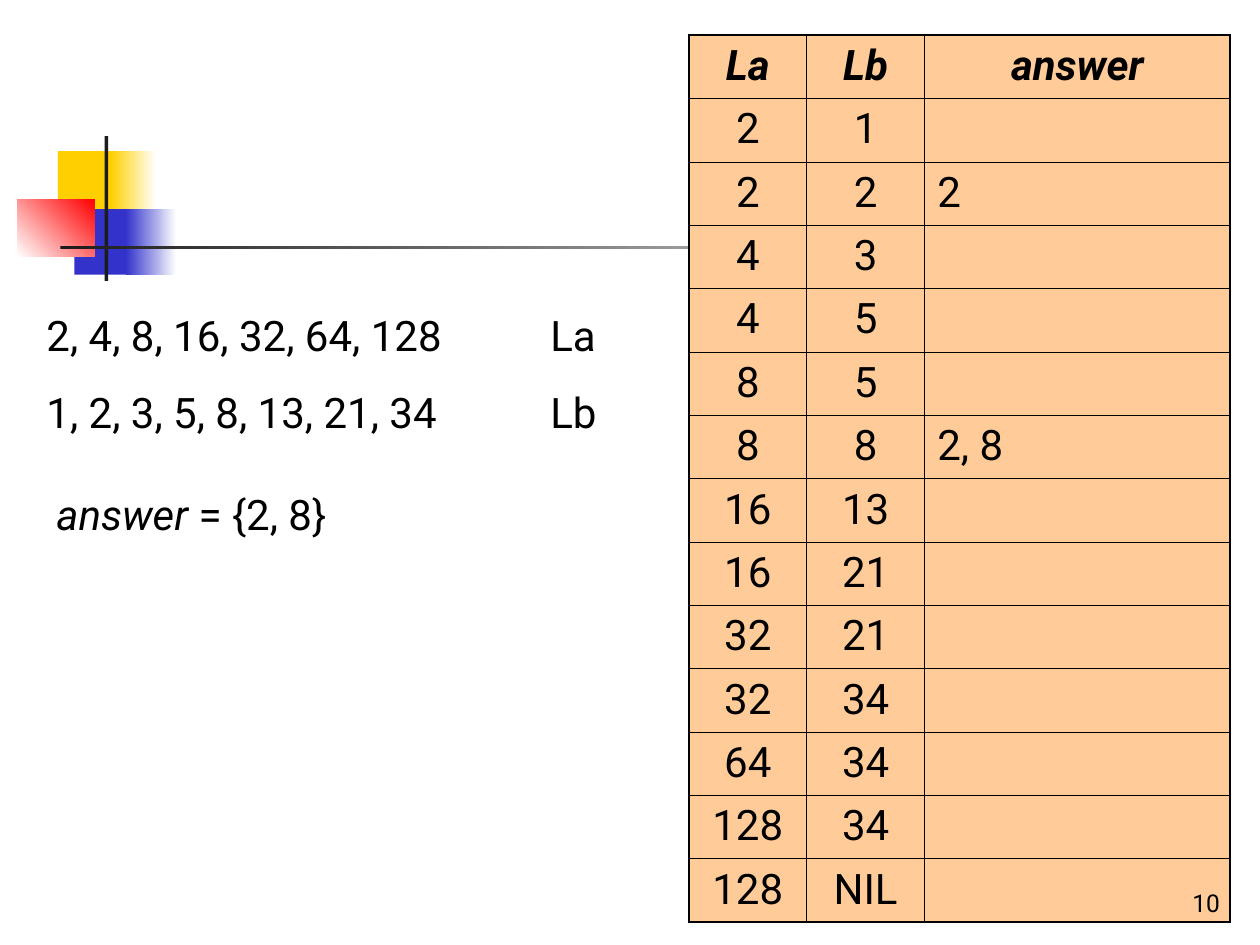
from typing import NamedTuple, Optional

import pptx
import pptx.dml.color
import pptx.enum.shapes
import pptx.enum.text
import pptx.oxml
import pptx.oxml.ns
import pptx.util
from pptx.dml.color import RGBColor
from pptx.util import Inches, Pt

BLACK = RGBColor(0x00, 0x00, 0x00)
CHARCOAL = RGBColor(0x1C, 0x1C, 0x1C)
WHITE = RGBColor(0xFF, 0xFF, 0xFF)
YELLOW = RGBColor(0xFF, 0xCF, 0x01)
BLUE = RGBColor(0x33, 0x33, 0xCC)
RED = RGBColor(0xFF, 0x00, 0x00)
PEACH = RGBColor(0xFF, 0xCC, 0x99)

FONT = "Roboto"
OUTER_BORDER = Pt(1.08)
INNER_BORDER = Pt(0.45)
CENTER = pptx.enum.text.PP_ALIGN.CENTER
LEFT = pptx.enum.text.PP_ALIGN.LEFT
RIGHT = pptx.enum.text.PP_ALIGN.RIGHT


class Block(NamedTuple):
    """A plain rectangle; an end colour makes its fill a gradient."""
    left: float
    top: float
    width: float
    height: float
    color: RGBColor
    end_color: Optional[RGBColor] = None
    angle: float = 0


class Run(NamedTuple):
    text: str
    italic: bool = False


class Note(NamedTuple):
    """A text box; each line is a list of runs."""
    left: float
    top: float
    width: float
    height: float
    lines: list
    size: int = 24
    align: pptx.enum.text.PP_ALIGN = LEFT
    anchor: pptx.enum.text.MSO_ANCHOR = pptx.enum.text.MSO_ANCHOR.TOP
    grow: bool = True
    tab: Optional[float] = None


BLOCKS = [
    Block(0.46, 1.2, 0.48, 0.52, YELLOW),
    Block(0.88, 1.2, 0.36, 0.52, YELLOW, WHITE),
    Block(0.59, 1.66, 0.46, 0.52, BLUE),
    Block(1, 1.66, 0.4, 0.52, BLUE, WHITE),
    Block(0.14, 1.58, 0.61, 0.46, WHITE, RED, 45),
    Block(0.83, 1.08, 0.03, 1.15, CHARCOAL),
    Block(0.48, 1.95, 9, 0.03, CHARCOAL, WHITE),
]

LISTS = Note(0.27, 2.41, 5.75, 1.11, [
    [Run("2, 4, 8, 16, 32, 64, 128 \tLa")],
    [Run("1, 2, 3, 5, 8, 13, 21, 34\tLb")],
], tab=4)
ANSWER = Note(0.35, 3.83, 2.84, 0.5, [[Run("answer", True), Run(" = {2, 8}")]])
PAGE_NUMBER = Note(7.7, 6.83, 2.08, 0.5, [[Run("10")]], size=14, align=RIGHT,
                   anchor=pptx.enum.text.MSO_ANCHOR.BOTTOM, grow=False)

COLUMN_WIDTHS = [0.93, 0.94, 2.42]
TABLE_HEIGHT = 7.04
TRACE = [
    ("La", "Lb", "answer"),
    ("2", "1", ""),
    ("2", "2", "2"),
    ("4", "3", ""),
    ("4", "5", ""),
    ("8", "5", ""),
    ("8", "8", "2, 8"),
    ("16", "13", ""),
    ("16", "21", ""),
    ("32", "21", ""),
    ("32", "34", ""),
    ("64", "34", ""),
    ("128", "34", ""),
    ("128", "NIL", ""),
]


def format_font(font, size: int, bold: bool = False, italic: bool = False) -> None:
    values = {"name": FONT, "size": Pt(size), "bold": bold, "italic": italic}
    for name, value in values.items():
        setattr(font, name, value)
    font.color.rgb = BLACK


def add_block(slide, block: Block) -> None:
    shape = slide.shapes.add_shape(
        pptx.enum.shapes.MSO_SHAPE.RECTANGLE, Inches(block.left), Inches(block.top),
        Inches(block.width), Inches(block.height))
    shape.shadow.inherit = False
    shape.line.fill.background()
    if block.end_color is None:
        shape.fill.solid()
        shape.fill.fore_color.rgb = block.color
        return
    shape.fill.gradient()
    shape.fill.gradient_angle = block.angle
    colors = (block.color, block.end_color)
    for position, (stop, color) in enumerate(zip(shape.fill.gradient_stops, colors)):
        stop.position = position
        stop.color.rgb = color


def add_tab(paragraph, position: float) -> None:
    properties = paragraph._p.get_or_add_pPr()
    tabs = pptx.oxml.parse_xml(
        f'<a:tabLst {pptx.oxml.ns.nsdecls("a")}>'
        f'<a:tab pos="{Inches(position)}" algn="l"/></a:tabLst>')
    properties.append(tabs)


def add_note(slide, note: Note) -> None:
    shape = slide.shapes.add_textbox(
        Inches(note.left), Inches(note.top), Inches(note.width), Inches(note.height))
    frame = shape.text_frame
    frame.word_wrap = True
    frame.vertical_anchor = note.anchor
    if note.grow:
        frame.auto_size = pptx.enum.text.MSO_AUTO_SIZE.SHAPE_TO_FIT_TEXT
    for index, line in enumerate(note.lines):
        paragraph = frame.add_paragraph() if index else frame.paragraphs[0]
        paragraph.alignment = note.align
        if index:
            paragraph.space_before = Pt(15)
        if note.tab is not None:
            add_tab(paragraph, note.tab)
        for part in line:
            run = paragraph.add_run()
            run.text = part.text
            format_font(run.font, note.size, italic=part.italic)


def set_borders(cell, widths: dict) -> None:
    properties = cell._tc.get_or_add_tcPr()
    for index, (side, width) in enumerate(widths.items()):
        border = pptx.oxml.parse_xml(
            f'<a:{side} {pptx.oxml.ns.nsdecls("a")} w="{width}"><a:solidFill>'
            f'<a:srgbClr val="{BLACK}"/></a:solidFill></a:{side}>')
        properties.insert(index, border)


def add_trace_table(slide) -> None:
    last_row, last_column = len(TRACE) - 1, len(COLUMN_WIDTHS) - 1
    table = slide.shapes.add_table(
        len(TRACE), len(COLUMN_WIDTHS), Inches(5.47), Inches(0.28),
        Inches(sum(COLUMN_WIDTHS)), Inches(TABLE_HEIGHT)).table
    table.first_row = table.horz_banding = False
    for column, width in zip(table.columns, COLUMN_WIDTHS):
        column.width = Inches(width)
    for row_index, texts in enumerate(TRACE):
        header = row_index == 0
        for column_index, text in enumerate(texts):
            cell = table.cell(row_index, column_index)
            cell.fill.solid()
            cell.fill.fore_color.rgb = PEACH
            edges = {"lnL": column_index == 0, "lnR": column_index == last_column,
                     "lnT": header, "lnB": row_index == last_row}
            set_borders(cell, {side: OUTER_BORDER if outer else INNER_BORDER
                               for side, outer in edges.items()})
            if text:
                paragraph = cell.text_frame.paragraphs[0]
                paragraph.alignment = CENTER if header or column_index < last_column else LEFT
                run = paragraph.add_run()
                run.text = text
                format_font(run.font, 24, bold=header, italic=header)


def main() -> None:
    presentation = pptx.Presentation()
    presentation.slide_width = Inches(10)
    presentation.slide_height = Inches(7.5)
    slide = presentation.slides.add_slide(presentation.slide_layouts[6])

    # Corner decoration and rule
    for block in BLOCKS:
        add_block(slide, block)

    # Input lists, merge trace and result
    add_note(slide, LISTS)
    add_trace_table(slide)
    add_note(slide, ANSWER)

    # Page number
    add_note(slide, PAGE_NUMBER)

    presentation.save("out.pptx")


if __name__ == "__main__":
    main()
